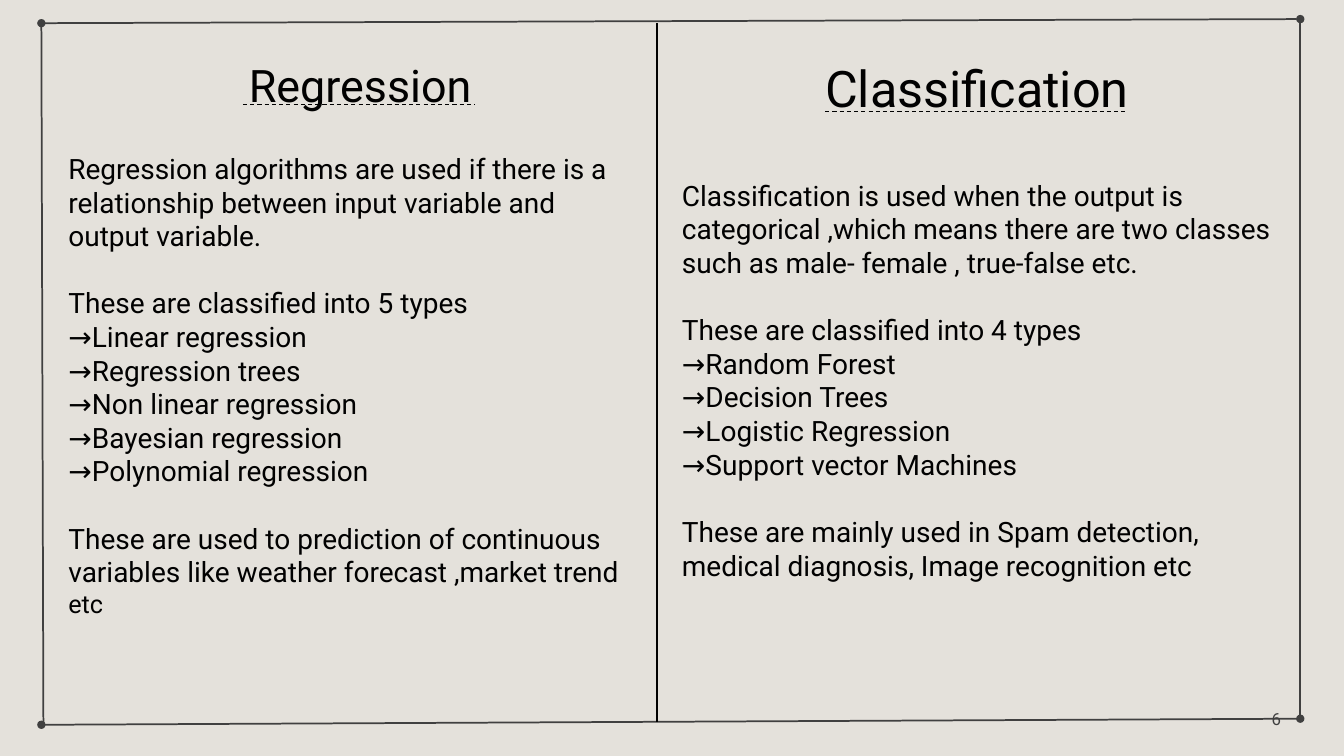
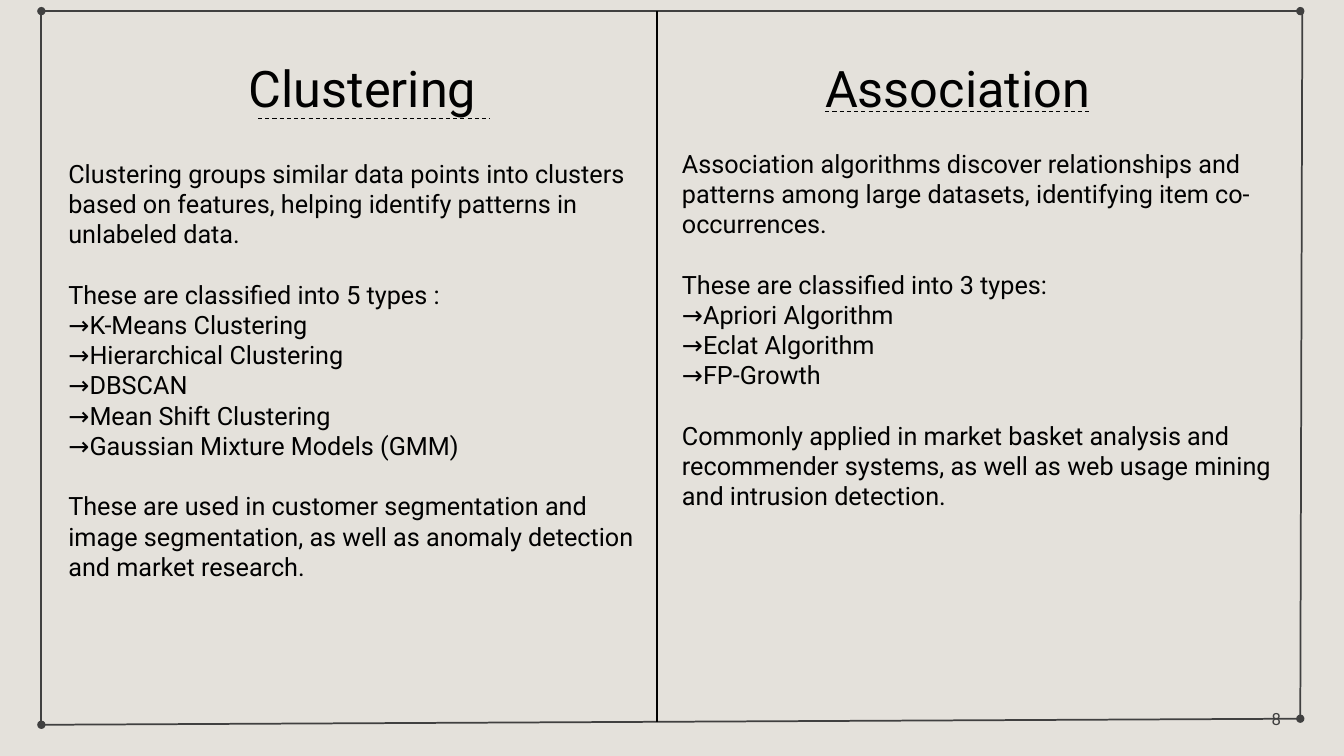
from lxml import etree
from pptx import Presentation
from pptx.dml.color import RGBColor
from pptx.enum.dml import MSO_LINE
from pptx.enum.shapes import MSO_CONNECTOR
from pptx.enum.text import MSO_ANCHOR, MSO_AUTO_SIZE, PP_ALIGN
from pptx.oxml.ns import qn
from pptx.util import Inches, Pt

STRAIGHT = MSO_CONNECTOR.STRAIGHT
DASH = MSO_LINE.DASH
MIDDLE = MSO_ANCHOR.MIDDLE
GROW = MSO_AUTO_SIZE.SHAPE_TO_FIT_TEXT
CENTER = PP_ALIGN.CENTER

WIDE, HIGH = Inches(13.33), Inches(7.5)
PAPER, INK, GRAY = "E4E1DB", "010101", "404040"
FONT = "Roboto"
LEADING = 1.2
FOOT_LEFT, FOOT_RIGHT = (3.08, 95.87), (96.75, 95.07)
MID, BASE = 48.9, 95.47
LEFT_BOX, RIGHT_BOX = (4.35, 6.93, 44, 76), (50, 6.93, 45.7, 71)
LEFT_DENT, RIGHT_DENT = 1.79, 1.42

PAGES = [
    {
        "page": "6",
        "frame": {"foot": (3.23, BASE), "left": (3.08, 3.07),
                  "right": (96.75, 2.53), "side": (96.75, 2.6)},
        "panels": [
            {"box": LEFT_BOX, "dent": LEFT_DENT, "title": "Regression", "big": 32,
             "rule": (13.73, 6.93, 17.25), "gap": 28.8, "size": 20,
             "blocks": [
                 ["Regression algorithms are used if there is a relationship between "
                  "input variable and output variable."],
                 ["These are classified into 5 types", "→Linear regression",
                  "→Regression trees", "→Non linear regression",
                  "→Bayesian regression", "→Polynomial regression"],
                 ["These are used to prediction of continuous variables like weather "
                  "forecast ,market trend "]],
             "tail": "etc"},
            {"box": RIGHT_BOX, "dent": RIGHT_DENT, "title": "Classification", "big": 36,
             "rule": (11.4, 7.87, 22.28), "gap": 43.2, "size": 20,
             "blocks": [
                 ["Classification is used when the output is categorical ,which means "
                  "there are two classes such as male- female , true-false etc."],
                 ["These are classified into 4 types", "→Random Forest",
                  "→Decision Trees", "→Logistic Regression",
                  "→Support vector Machines"],
                 ["These are mainly used in Spam detection, medical diagnosis, "
                  "Image recognition etc"]]},
        ],
    },
    {
        "page": "8",
        "frame": {"foot": FOOT_LEFT, "left": (3.08, 1.47),
                  "right": (96.75, 1.47), "side": (96.9, 1.47)},
        "panels": [
            {"box": LEFT_BOX, "dent": LEFT_DENT, "title": "Clustering", "big": 36,
             "rule": (14.85, 8.8, 17.25), "gap": 28.8, "size": 18,
             "blocks": [
                 ["Clustering groups similar data points into clusters based on "
                  "features, helping identify patterns in unlabeled data."],
                 ["These are classified into 5 types :", "→K-Means Clustering",
                  "→Hierarchical Clustering", "→DBSCAN", "→Mean Shift Clustering",
                  "→Gaussian Mixture Models (GMM)"],
                 ["These are used in customer segmentation and image segmentation, "
                  "as well as anomaly detection and market research."]]},
            {"box": RIGHT_BOX, "dent": RIGHT_DENT, "title": "Association", "big": 36,
             "rule": (11.4, 7.87, 19.8), "gap": 21.6, "size": 18,
             "blocks": [
                 ["Association algorithms discover relationships and patterns among "
                  "large datasets, identifying item co-occurrences."],
                 ["These are classified into 3 types:", "→Apriori Algorithm",
                  "→Eclat Algorithm", "→FP-Growth"],
                 ["Commonly applied in market basket analysis and recommender systems, "
                  "as well as web usage mining and intrusion detection."]]},
        ],
    },
]


def paint(color):
    """Turn a hex string into a colour."""
    return RGBColor.from_string(color)


def across(share):
    """Turn a percentage of the slide's width into a length."""
    return round(WIDE * share / 100)


def down(share):
    """Turn a percentage of the slide's height into a length."""
    return round(HIGH * share / 100)


def draw(slide, start, end, color, width, dash=None, oval=False):
    """Draw a straight line between two points, with an optional round end."""
    link = slide.shapes.add_connector(
        STRAIGHT, across(start[0]), down(start[1]), across(end[0]), down(end[1]))
    link.line.color.rgb = paint(color)
    link.line.width = Pt(width)
    if dash:
        link.line.dash_style = dash
    if oval:
        etree.SubElement(link.line._get_or_add_ln(), qn("a:tailEnd"), type="oval")
    etree.SubElement(link._element.spPr, qn("a:effectLst"))


def frame(slide, foot, left, right, side):
    """Draw the four sides with dotted corners and the middle rule."""
    sides = [(foot, left), (FOOT_RIGHT, FOOT_LEFT), (side, FOOT_RIGHT), (left, right)]
    for start, end in sides:
        draw(slide, start, end, GRAY, 1.25, oval=True)
    draw(slide, (MID, left[1]), (MID, BASE), INK, 1.5)


def textbox(slide, box):
    """Add a wrapping text box and return its frame."""
    x, y, w, h = box
    text = slide.shapes.add_textbox(across(x), down(y), across(w), down(h)).text_frame
    text.word_wrap = True
    return text


def write(para, words, size, color=INK):
    """Add one run to a paragraph."""
    run = para.add_run()
    run.text = words
    run.font.name = FONT
    run.font.size = Pt(size)
    run.font.color.rgb = paint(color)


def panel(slide, box, dent, title, big, rule, gap, size, blocks, tail=""):
    """Write a titled column and rule off its title."""
    text = textbox(slide, box)
    text.auto_size = GROW
    head = text.paragraphs[0]
    head._p.get_or_add_pPr().set("marL", str(Inches(dent)))
    write(head, title, big)
    for block in blocks:
        for row, words in enumerate(block):
            para = text.add_paragraph()
            if row == 0:
                para.space_before = Pt(gap)
            write(para, words, size)
        gap = size * LEADING
    if tail:
        write(para, tail, 18)
    x, y = box[0] + rule[0], box[1] + rule[1]
    draw(slide, (x, y), (x + rule[2], y), INK, 0.75, dash=DASH)


def number(slide, page):
    """Write the page number in the lower right corner."""
    text = textbox(slide, (93.17, 93.33, 3.6, 3.6))
    text.vertical_anchor = MIDDLE
    para = text.paragraphs[0]
    para.alignment = CENTER
    write(para, page, 12, GRAY)


def main():
    """Build and save the deck."""
    deck = Presentation()
    deck.slide_width, deck.slide_height = WIDE, HIGH
    fill = deck.slide_master.background.fill
    fill.solid()
    fill.fore_color.rgb = paint(PAPER)
    for page in PAGES:
        slide = deck.slides.add_slide(deck.slide_layouts[6])
        number(slide, page["page"])
        frame(slide, **page["frame"])
        for part in page["panels"]:
            panel(slide, **part)
    deck.save("out.pptx")


if __name__ == "__main__":
    main()
